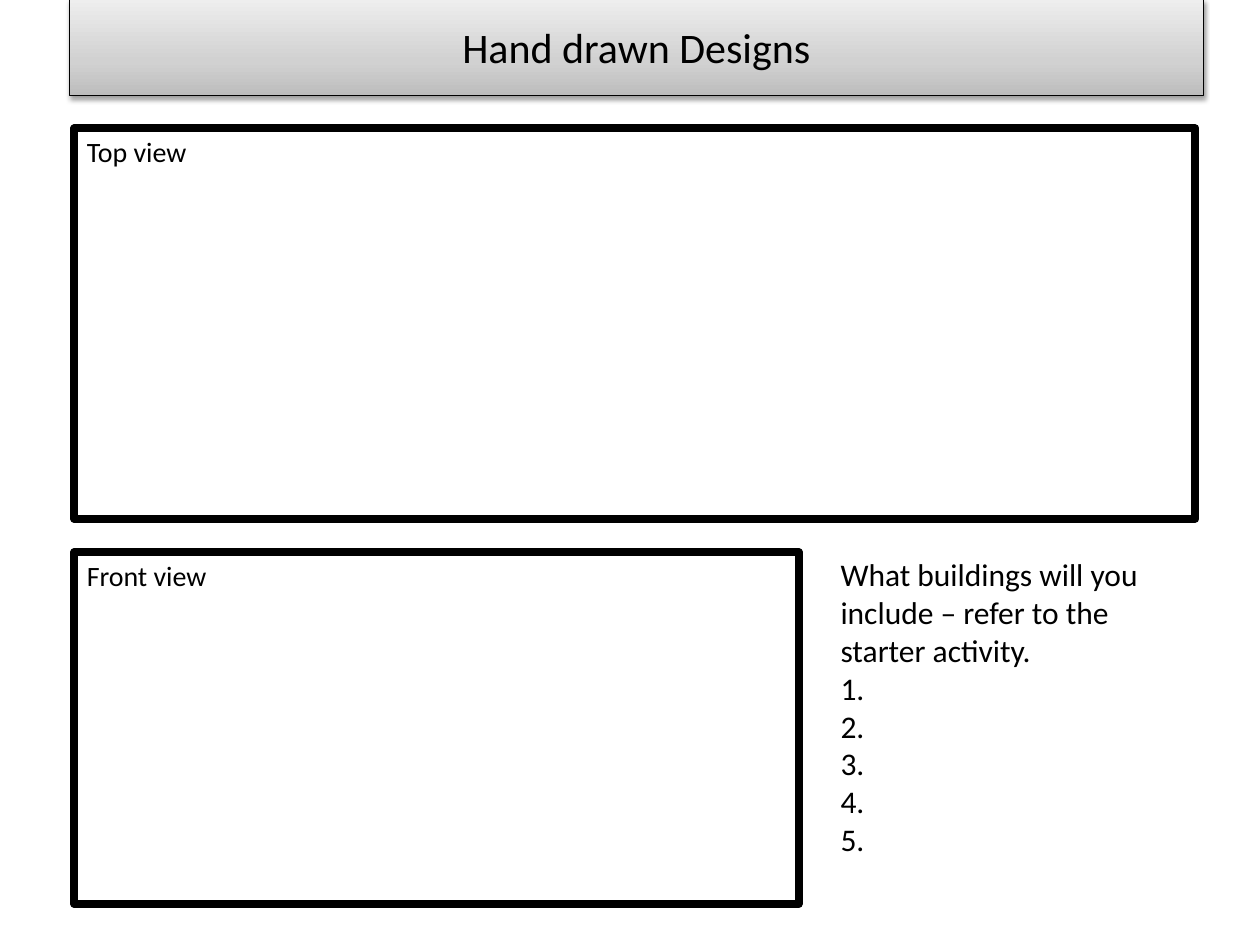
import pptx
import pptx.util
import pptx.dml.color
import pptx.enum.shapes
import pptx.enum.text
import pptx.oxml
import pptx.oxml.ns
import lxml.etree

Cm = pptx.util.Cm
Pt = pptx.util.Pt
RGBColor = pptx.dml.color.RGBColor
Anchor = pptx.enum.text.MSO_ANCHOR
Align = pptx.enum.text.PP_ALIGN

THEME = {
    "font": "Calibri",
    "ink": "000000",
    "paper": "FFFFFF",
    "banner": [(0, "BDBDBD"), (35, "D1D1D1"), (100, "EEEEEE")],
    "title": 24,
    "list": 18,
    "label": 16,
    "banner_line": 0.75,
    "frame_line": 4.5,
}


def add_xml(parent, markup):
    namespace = pptx.oxml.ns.nsdecls("a")
    tag, rest = markup.split(">", 1)
    if tag.endswith("/"):
        tag = tag[:-1] + " " + namespace + "/"
    else:
        tag = tag + " " + namespace
    parent.append(pptx.oxml.parse_xml(tag + ">" + rest))


def set_values(target, values):
    for name, value in values.items():
        setattr(target, name, value)


def place(shape, box):
    set_values(shape, dict(zip(("left", "top", "width", "height"), map(Cm, box))))


def set_line(shape, width):
    shape.line.color.rgb = RGBColor.from_string(THEME["ink"])
    shape.line.width = Pt(width)


def write(paragraph, text, size, alignment=Align.LEFT):
    set_values(paragraph, {"alignment": alignment, "space_before": Pt(0)})
    run = paragraph.add_run()
    run.text = text
    set_values(run.font, {"name": THEME["font"], "size": Pt(THEME[size])})
    run.font.color.rgb = RGBColor.from_string(THEME["ink"])


def format_frame(shape, anchor):
    set_values(shape.text_frame, {
        "word_wrap": True,
        "auto_size": pptx.enum.text.MSO_AUTO_SIZE.NONE,
        "vertical_anchor": anchor,
    })


def add_banner(slide, box, text):
    banner = slide.shapes.title
    place(banner, box)
    properties = banner.element.spPr
    stops = "".join(
        f'<a:gs pos="{position * 1000}"><a:srgbClr val="{color}"/></a:gs>'
        for position, color in THEME["banner"])
    add_xml(properties, f'<a:gradFill><a:gsLst>{stops}</a:gsLst>'
                        '<a:lin ang="16200000" scaled="0"/></a:gradFill>')
    set_line(banner, THEME["banner_line"])
    add_xml(properties, '<a:effectLst><a:outerShdw blurRad="40000" dist="20000" '
                        f'dir="5400000" rotWithShape="0"><a:srgbClr val="{THEME["ink"]}">'
                        '<a:alpha val="38000"/></a:srgbClr></a:outerShdw></a:effectLst>')
    format_frame(banner, Anchor.MIDDLE)
    write(banner.text_frame.paragraphs[0], text, "title", Align.CENTER)


def add_drawing_frame(slide, box, label):
    rectangle = pptx.enum.shapes.MSO_SHAPE.RECTANGLE
    frame = slide.shapes.add_shape(rectangle, *map(Cm, box))
    frame.shadow.inherit = False
    frame.fill.solid()
    frame.fill.fore_color.rgb = RGBColor.from_string(THEME["paper"])
    set_line(frame, THEME["frame_line"])
    add_xml(frame.line._get_or_add_ln(), "<a:round/>")
    format_frame(frame, Anchor.TOP)
    write(frame.text_frame.paragraphs[0], label, "label")


def add_question(slide, box, question, answer_count):
    body = slide.placeholders[1]
    place(body, box)
    format_frame(body, Anchor.TOP)
    paragraph = body.text_frame.paragraphs[0]
    write(paragraph, question, "list")
    set_paragraph_bullet(paragraph, 0, "<a:buNone/>")
    for _ in range(answer_count):
        paragraph = body.text_frame.add_paragraph()
        write(paragraph, " ", "list")
        set_paragraph_bullet(paragraph, 0.95, '<a:buAutoNum type="arabicPeriod"/>')


def set_paragraph_bullet(paragraph, indent, bullet):
    properties = paragraph._p.get_or_add_pPr()
    properties.set("marL", str(Cm(indent)))
    properties.set("indent", str(-Cm(indent)))
    if indent:
        add_xml(properties, '<a:buFont typeface="+mj-lt"/>')
    add_xml(properties, bullet)


def build_design_slide(presentation):
    slide = presentation.slides.add_slide(presentation.slide_layouts[1])
    add_banner(slide, (1.4, -0.03, 22.86, 1.96), "Hand drawn Designs")
    add_drawing_frame(slide, (1.5, 2.59, 22.6, 7.87), "Top view")
    add_drawing_frame(slide, (1.5, 11.13, 14.6, 7.09), "Front view")
    add_question(slide, (16.69, 11.07, 6.81, 6.4),
                 "What buildings will you include – refer to the starter activity.", 5)


presentation = pptx.Presentation()
set_values(presentation, {"slide_width": Cm(25.4), "slide_height": Cm(19.05)})
build_design_slide(presentation)
presentation.save("out.pptx")
